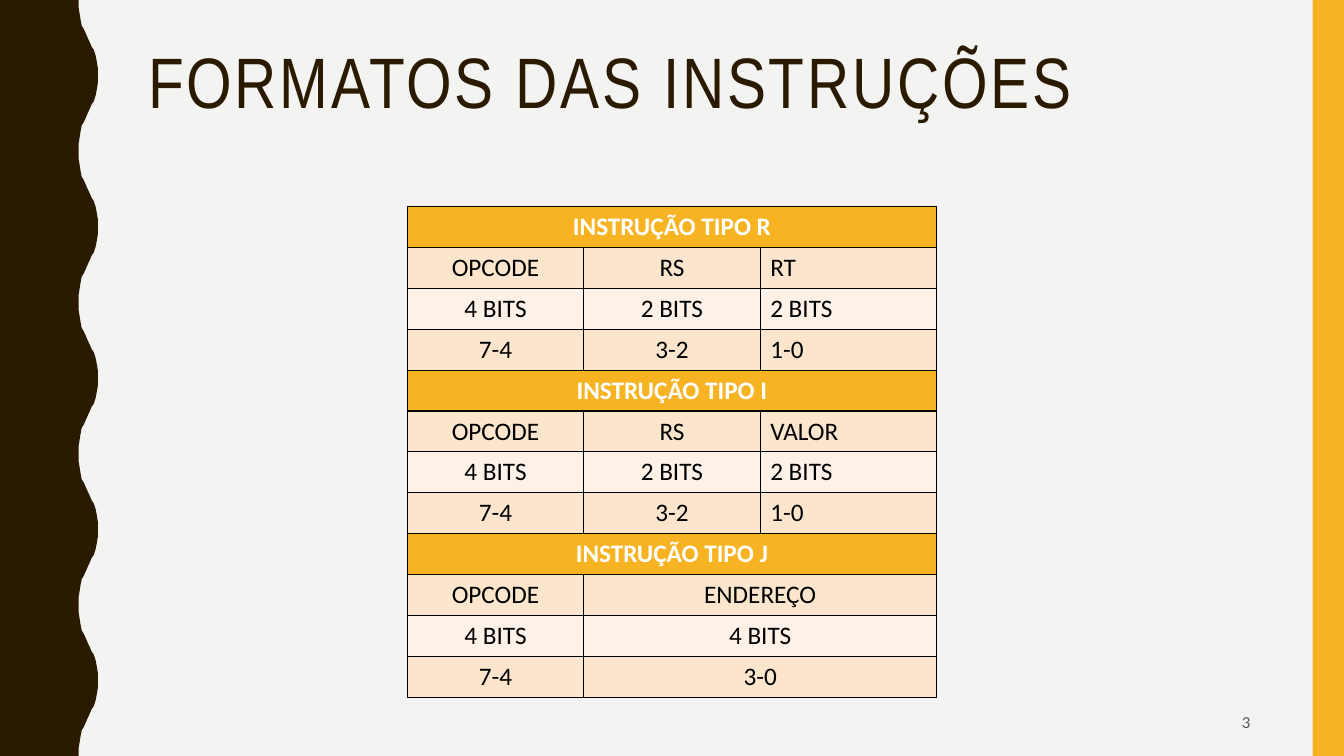
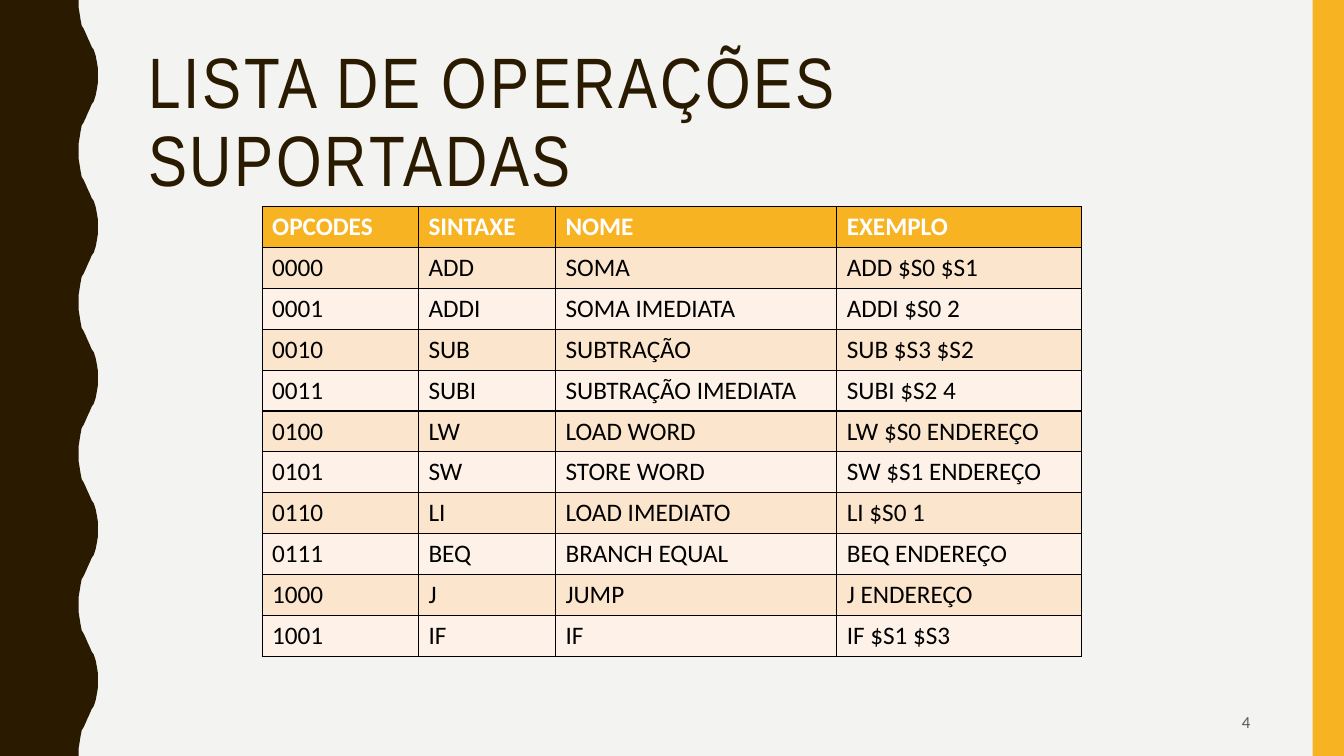
from dataclasses import dataclass

from lxml.etree import SubElement
from pptx import Presentation
from pptx.dml.color import RGBColor
from pptx.enum.shapes import MSO_SHAPE
from pptx.enum.text import MSO_ANCHOR, PP_ALIGN
from pptx.oxml.ns import qn
from pptx.slide import Slide
from pptx.table import _Cell
from pptx.text.text import TextFrame
from pptx.util import Inches, Pt

# Colours and fonts
PAPER = RGBColor(0xF3, 0xF3, 0xF2)
BROWN = RGBColor(0x2A, 0x1A, 0x00)
AMBER = RGBColor(0xF8, 0xB3, 0x23)
PEACH = RGBColor(0xFC, 0xE5, 0xCD)
CREAM = RGBColor(0xFE, 0xF2, 0xE8)
WHITE = RGBColor(0xFF, 0xFF, 0xFF)
BLACK = RGBColor(0x00, 0x00, 0x00)
GREY = RGBColor(0x59, 0x59, 0x59)
TITLE_FONT, BODY_FONT = "Arial Narrow", "Calibri"

prs = Presentation()
prs.slide_width, prs.slide_height = Inches(13.33), Inches(7.5)


def across(percent: float) -> int:
    return round(prs.slide_width * percent / 100)


def down(percent: float) -> int:
    return round(prs.slide_height * percent / 100)


@dataclass(frozen=True)
class Box:
    """A place on the slide, in percent of its width and height."""
    left: float
    top: float
    width: float
    height: float

    def emu(self) -> tuple[int, int, int, int]:
        return across(self.left), down(self.top), across(self.width), down(self.height)


@dataclass(frozen=True)
class Grid:
    """A table; a row with too few cells stretches its last cell to the edge."""
    cols: tuple[float, ...]
    rows: tuple[tuple[str, ...], ...]
    block: int          # rows from one heading to the next
    centred: int = 0    # leading columns with centred text


@dataclass(frozen=True)
class Page:
    number: int
    title: str
    grid: Grid


TITLE = Box(10.28, 5.6, 83.5, 21.73)
NUMBER = Box(70.67, 92.93, 23.1, 5.07)
BAND = Box(97.67, 0, 2.33, 100)
TABLE_TOP, ROW_HEIGHT = 27.33, 5.41

# Wavy edge: trough and crest, then (share of period, share of rise)
TROUGH, CREST, WAVES = 5.85, 7.28, 5
RISE = ((0, 0), (0.05, 0), (0.09, 0.05), (0.13, 0.1), (0.17, 0.16),
        (0.19, 0.26), (0.22, 0.37), (0.25, 0.47), (0.28, 0.58), (0.31, 0.68),
        (0.33, 0.79), (0.37, 0.89), (0.41, 0.95), (0.45, 1))
FALL = tuple((1 - y, x) for y, x in reversed(RISE))
WAVE = RISE + ((0.5, 1),) + FALL


def write(tf: TextFrame, text: str, *, size: float, color: RGBColor,
          font: str = BODY_FONT, bold: bool = False,
          align: PP_ALIGN = PP_ALIGN.LEFT, leading: float = 1,
          tracking: float = 0) -> None:
    p = tf.paragraphs[0]
    p.alignment, p.line_spacing = align, leading
    r = p.add_run()
    r.text = text
    r.font.size, r.font.name, r.font.bold = Pt(size), font, bold
    r.font.color.rgb = color
    if tracking:
        r._r.get_or_add_rPr().set("spc", str(round(tracking * 100)))


def add_text(s: Slide, box: Box, text: str, *,
             anchor: MSO_ANCHOR = MSO_ANCHOR.TOP, **style) -> None:
    tf = s.shapes.add_textbox(*box.emu()).text_frame
    tf.word_wrap, tf.vertical_anchor = True, anchor
    write(tf, text, **style)


def paint(sp, color: RGBColor) -> None:
    sp.shadow.inherit = False
    sp.fill.solid()
    sp.fill.fore_color.rgb = color
    sp.line.fill.background()


def add_frame(s: Slide) -> None:
    """Background, wavy left edge and right band."""
    s.background.fill.solid()
    s.background.fill.fore_color.rgb = PAPER
    edge = [(across(TROUGH + (CREST - TROUGH) * x), down(100 * (wave + y) / WAVES))
            for wave in range(WAVES) for y, x in WAVE]
    outline = s.shapes.build_freeform(0, 0)
    outline.add_line_segments(edge + [(0, down(100))], close=True)
    paint(outline.convert_to_shape(), BROWN)
    paint(s.shapes.add_shape(MSO_SHAPE.RECTANGLE, *BAND.emu()), AMBER)


def style_cell(cell: _Cell, fill: RGBColor) -> None:
    tcPr = cell._tc.get_or_add_tcPr()
    for side in ("lnL", "lnR", "lnT", "lnB"):
        ln = SubElement(tcPr, qn(f"a:{side}"), w=str(Pt(1)))
        SubElement(SubElement(ln, qn("a:solidFill")), qn("a:srgbClr"), val=str(BLACK))
    cell.fill.solid()
    cell.fill.fore_color.rgb = fill


def add_grid(s: Slide, grid: Grid) -> None:
    width, n = sum(grid.cols), len(grid.cols)
    box = Box((100 - width) / 2, TABLE_TOP, width, ROW_HEIGHT * len(grid.rows))
    table = s.shapes.add_table(len(grid.rows), n, *box.emu()).table
    for column, share in zip(table.columns, grid.cols):
        column.width = across(share)
    for i, texts in enumerate(grid.rows):
        table.rows[i].height = down(ROW_HEIGHT)
        step = i % grid.block
        heading = step == 0
        fill = AMBER if heading else PEACH if step % 2 else CREAM
        for j in range(n):
            style_cell(table.cell(i, j), fill)
        if len(texts) < n:
            table.cell(i, len(texts) - 1).merge(table.cell(i, n - 1))
        for j, text in enumerate(texts):
            write(table.cell(i, j).text_frame, text, size=18, bold=heading,
                  color=WHITE if heading else BLACK,
                  align=PP_ALIGN.CENTER if j < grid.centred else PP_ALIGN.LEFT)


def add_page(page: Page) -> None:
    s = prs.slides.add_slide(prs.slide_layouts[6])
    add_frame(s)
    add_text(s, TITLE, page.title, size=51, color=BROWN, font=TITLE_FONT,
             leading=0.9, tracking=2)
    add_grid(s, page.grid)
    add_text(s, NUMBER, str(page.number), size=12, color=GREY,
             align=PP_ALIGN.RIGHT, anchor=MSO_ANCHOR.MIDDLE)


def register_format(kind: str, last: str) -> tuple[tuple[str, ...], ...]:
    return ((f"INSTRUÇÃO TIPO {kind}",), ("OPCODE", "RS", last),
            ("4 BITS", "2 BITS", "2 BITS"), ("7-4", "3-2", "1-0"))


# Content
FORMATS = Grid(
    cols=(13.13,) * 3, block=4, centred=2,
    rows=register_format("R", "RT") + register_format("I", "VALOR") + (
        ("INSTRUÇÃO TIPO J",), ("OPCODE", "ENDEREÇO"),
        ("4 BITS", "4 BITS"), ("7-4", "3-0")))

OPERATIONS = (
    ("ADD", "SOMA", "ADD $S0 $S1"),
    ("ADDI", "SOMA IMEDIATA", "ADDI $S0 2"),
    ("SUB", "SUBTRAÇÃO", "SUB $S3 $S2"),
    ("SUBI", "SUBTRAÇÃO IMEDIATA", "SUBI $S2 4"),
    ("LW", "LOAD WORD", "LW $S0 ENDEREÇO"),
    ("SW", "STORE WORD", "SW $S1 ENDEREÇO"),
    ("LI", "LOAD IMEDIATO", "LI $S0 1"),
    ("BEQ", "BRANCH EQUAL", "BEQ ENDEREÇO"),
    ("J", "JUMP", "J ENDEREÇO"),
    ("IF", "IF", "IF $S1 $S3"),
)
OPCODES = Grid(
    cols=(11.63, 10.2, 20.93, 18.23), block=len(OPERATIONS) + 1,
    rows=(("OPCODES", "SINTAXE", "NOME", "EXEMPLO"),) + tuple(
        (f"{code:04b}", *operation) for code, operation in enumerate(OPERATIONS)))

PAGES = (
    Page(3, "FORMATOS DAS INSTRUÇÕES", FORMATS),
    Page(4, "LISTA DE OPERAÇÕES SUPORTADAS", OPCODES),
)

for page in PAGES:
    add_page(page)
prs.save("out.pptx")
